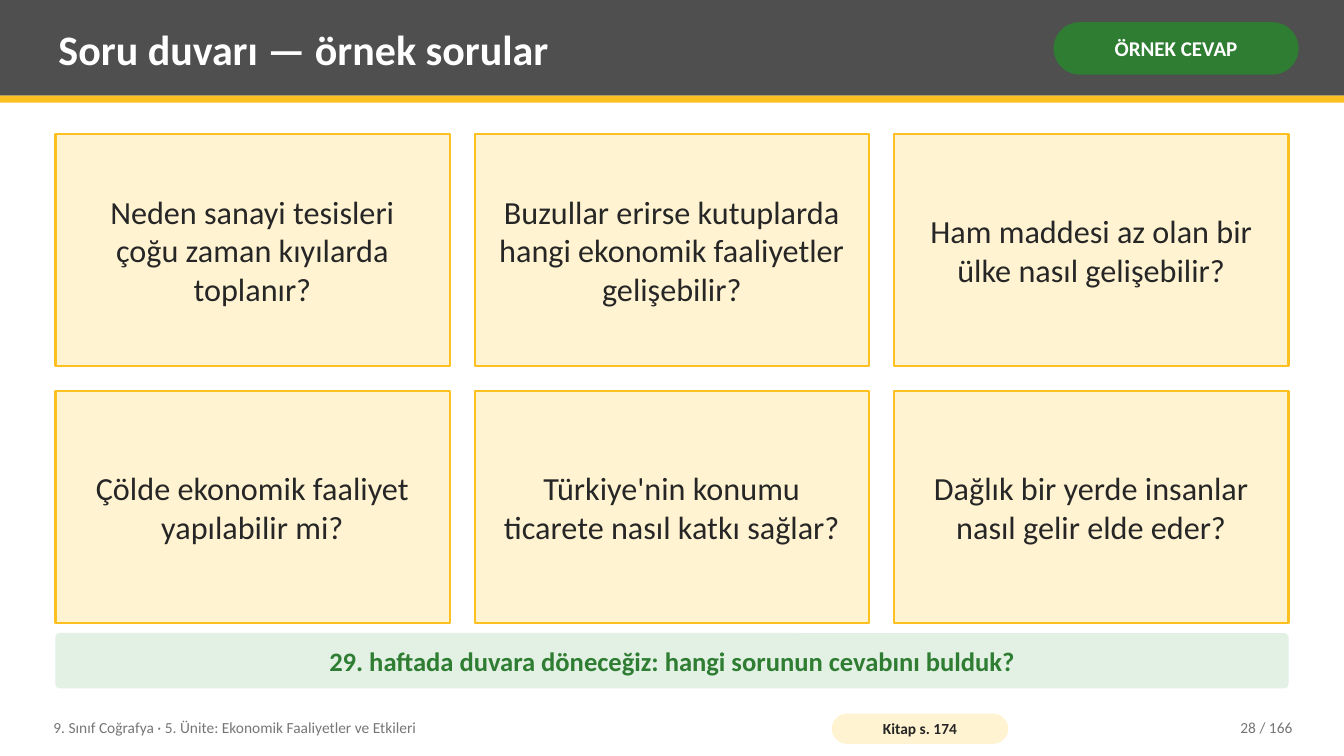
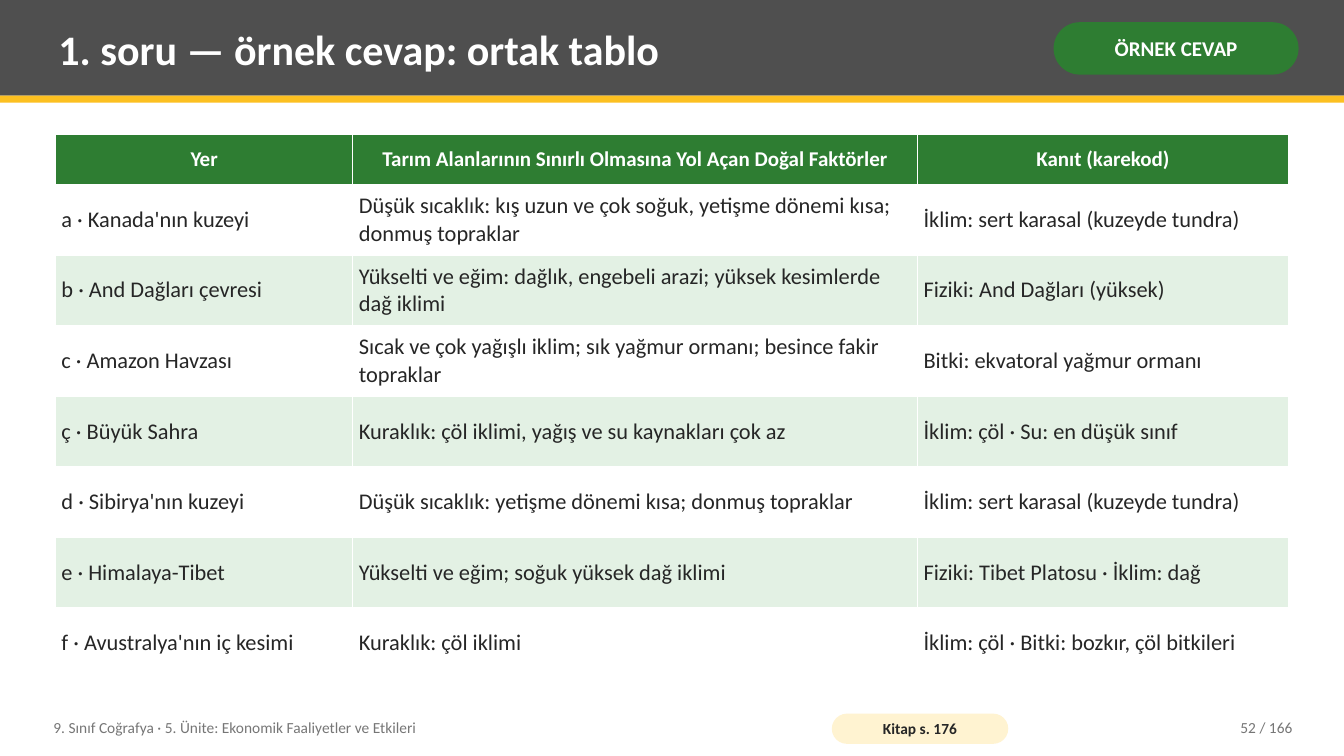
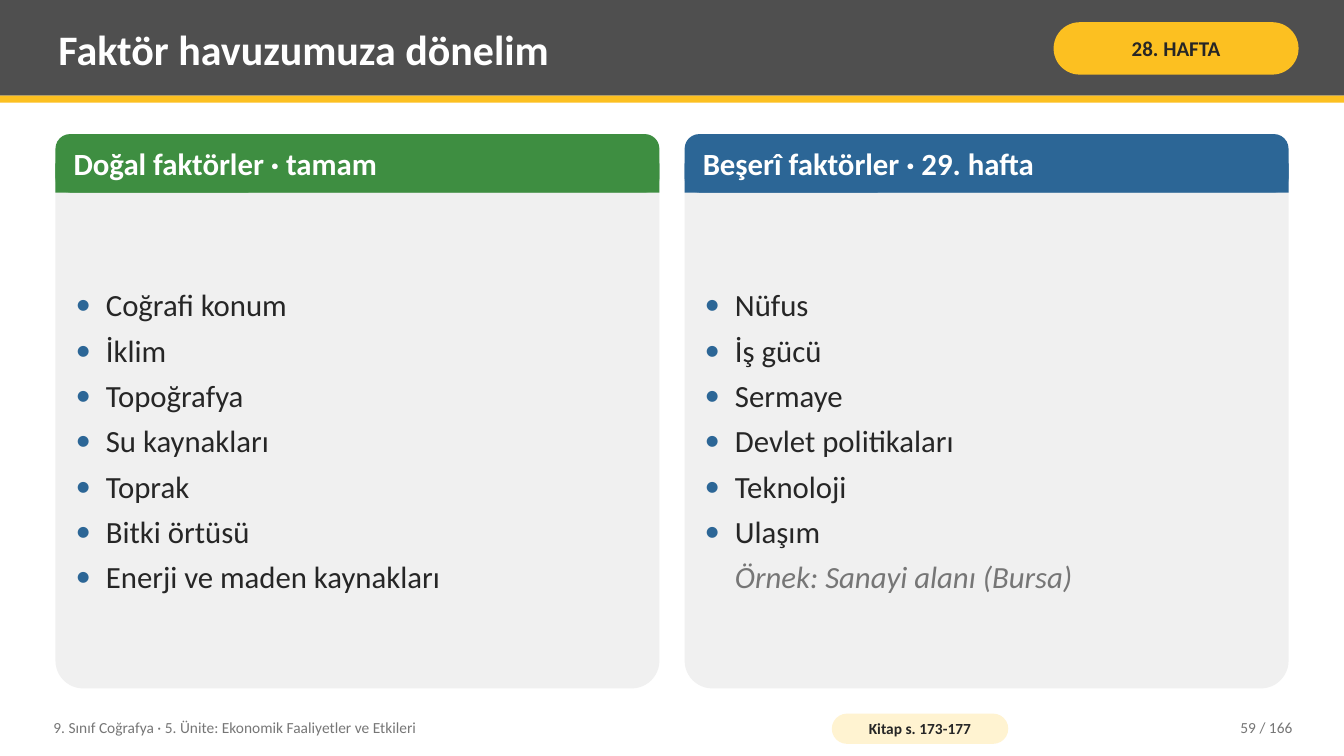
import dataclasses

import lxml.etree
import pptx
import pptx.dml.color
import pptx.enum.shapes
import pptx.enum.text
import pptx.oxml.ns
import pptx.util

Inches = pptx.util.Inches
Shape = pptx.enum.shapes.MSO_SHAPE
Align = pptx.enum.text.PP_ALIGN


@dataclasses.dataclass(frozen=True)
class Theme:
    font: str = "Calibri"
    white: str = "FFFFFF"
    ink: str = "262626"
    muted: str = "767676"
    band: str = "4F4F4F"
    gold: str = "FCC021"
    cream: str = "FFF3D1"
    green: str = "2E7D32"
    leaf: str = "3E8E41"
    mint: str = "E3F1E4"
    blue: str = "2C6696"
    panel: str = "F0F0F0"
    title_size: int = 30
    card_size: int = 23
    panel_size: int = 22
    note_size: int = 19
    cell_size: int = 16
    label_size: int = 15
    footer_size: int = 11


THEME = Theme()
PAGE_WIDTH, PAGE_HEIGHT = 13.33, 7.5
LEFT, TOP, WIDTH, BOTTOM, GAP = 0.55, 1.33, 12.23, 6.83, 0.25
TEXT_INSETS = (0.08, 0.04)
UNIT = "9. Sınıf Coğrafya · 5. Ünite: Ekonomik Faaliyetler ve Etkileri"
PAGE_COUNT = 166

QUESTIONS = [
    "Neden sanayi tesisleri çoğu zaman kıyılarda toplanır?",
    "Buzullar erirse kutuplarda hangi ekonomik faaliyetler gelişebilir?",
    "Ham maddesi az olan bir ülke nasıl gelişebilir?",
    "Çölde ekonomik faaliyet yapılabilir mi?",
    "Türkiye'nin konumu ticarete nasıl katkı sağlar?",
    "Dağlık bir yerde insanlar nasıl gelir elde eder?",
]
PLACES = [
    ("Yer", "Tarım Alanlarının Sınırlı Olmasına Yol Açan Doğal Faktörler", "Kanıt (karekod)"),
    ("a · Kanada'nın kuzeyi",
     "Düşük sıcaklık: kış uzun ve çok soğuk, yetişme dönemi kısa; donmuş topraklar",
     "İklim: sert karasal (kuzeyde tundra)"),
    ("b · And Dağları çevresi",
     "Yükselti ve eğim: dağlık, engebeli arazi; yüksek kesimlerde dağ iklimi",
     "Fiziki: And Dağları (yüksek)"),
    ("c · Amazon Havzası",
     "Sıcak ve çok yağışlı iklim; sık yağmur ormanı; besince fakir topraklar",
     "Bitki: ekvatoral yağmur ormanı"),
    ("ç · Büyük Sahra", "Kuraklık: çöl iklimi, yağış ve su kaynakları çok az",
     "İklim: çöl · Su: en düşük sınıf"),
    ("d · Sibirya'nın kuzeyi", "Düşük sıcaklık: yetişme dönemi kısa; donmuş topraklar",
     "İklim: sert karasal (kuzeyde tundra)"),
    ("e · Himalaya-Tibet", "Yükselti ve eğim; soğuk yüksek dağ iklimi",
     "Fiziki: Tibet Platosu · İklim: dağ"),
    ("f · Avustralya'nın iç kesimi", "Kuraklık: çöl iklimi",
     "İklim: çöl · Bitki: bozkır, çöl bitkileri"),
]
NATURAL_FACTORS = ["Coğrafi konum", "İklim", "Topoğrafya", "Su kaynakları", "Toprak",
                   "Bitki örtüsü", "Enerji ve maden kaynakları"]
HUMAN_FACTORS = ["Nüfus", "İş gücü", "Sermaye", "Devlet politikaları", "Teknoloji", "Ulaşım"]


def rgb(color):
    return pptx.dml.color.RGBColor.from_string(color)


def style_paragraph(para, size, color, bold=False, italic=False, align=Align.LEFT):
    para.alignment = align
    font = para.font
    font.name = THEME.font
    font.size = pptx.util.Pt(size)
    font.color.rgb = rgb(color)
    font.bold = bold
    font.italic = italic


def set_frame(frame, insets):
    frame.word_wrap = True
    frame.auto_size = pptx.enum.text.MSO_AUTO_SIZE.NONE
    frame.vertical_anchor = pptx.enum.text.MSO_ANCHOR.MIDDLE
    frame.margin_left = frame.margin_right = Inches(insets[0])
    frame.margin_top = frame.margin_bottom = Inches(insets[1])


def write_text(box, text, size, color, insets=TEXT_INSETS, **style):
    set_frame(box.text_frame, insets)
    para = box.text_frame.paragraphs[0]
    para.text = text
    style_paragraph(para, size, color, **style)


def add_block(page, kind, place, fill, line=None, corner=None):
    block = page.shapes.add_shape(kind, *map(Inches, place))
    block.shadow.inherit = False
    block.fill.solid()
    block.fill.fore_color.rgb = rgb(fill)
    if line:
        block.line.color.rgb = rgb(line)
        block.line.width = pptx.util.Pt(1.5)
    else:
        block.line.fill.background()
    if corner is not None:
        block.adjustments[0] = corner
    return block


def add_text(page, place, text, size, color, **style):
    box = page.shapes.add_textbox(*map(Inches, place))
    write_text(box, text, size, color, **style)


def add_pill(page, place, text, size, fill, color, insets):
    pill = add_block(page, Shape.ROUNDED_RECTANGLE, place, fill, corner=0.5)
    write_text(pill, text, size, color, insets, bold=True, align=Align.CENTER)


def add_page(deck, title, label, label_fill, label_color, book_pages, number):
    page = deck.slides.add_slide(deck.slide_layouts[5])
    add_block(page, Shape.RECTANGLE, (0, 0, PAGE_WIDTH, 0.95), THEME.band)
    add_block(page, Shape.RECTANGLE, (0, 0.95, PAGE_WIDTH, 0.07), THEME.gold)
    heading = page.shapes.title
    page.shapes.element.append(heading.element)
    heading.left, heading.top, heading.width, heading.height = map(Inches, (0.5, 0.07, 9.75, 0.82))
    write_text(heading, title, THEME.title_size, THEME.white, bold=True)
    add_pill(page, (10.45, 0.22, 2.43, 0.52), label, THEME.label_size,
             label_fill, label_color, (0.05, 0.02))
    add_text(page, (0.45, 7.04, 7.6, 0.36), UNIT, THEME.footer_size, THEME.muted)
    add_pill(page, (8.25, 7.08, 1.75, 0.3), f"Kitap s. {book_pages}", THEME.footer_size,
             THEME.cream, THEME.ink, (0.04, 0))
    add_text(page, (11.3, 7.04, 1.6, 0.36), f"{number} / {PAGE_COUNT}",
             THEME.footer_size, THEME.muted, align=Align.RIGHT)
    return page


def add_question_wall(page, questions, columns=3, card_height=2.3):
    card_width = (WIDTH - GAP * (columns - 1)) / columns
    for index, question in enumerate(questions):
        row, column = divmod(index, columns)
        place = (LEFT + column * (card_width + GAP), TOP + row * (card_height + GAP),
                 card_width, card_height)
        card = add_block(page, Shape.RECTANGLE, place, THEME.cream, line=THEME.gold)
        write_text(card, question, THEME.card_size, THEME.ink, (0.2, 0.08), align=Align.CENTER)


def add_note(page, text, height=0.55):
    note = add_block(page, Shape.ROUNDED_RECTANGLE, (LEFT, BOTTOM - height, WIDTH, height),
                     THEME.mint, corner=0.08)
    write_text(note, text, THEME.note_size, THEME.green, (0.14, 0.08),
               bold=True, align=Align.CENTER)


def add_cell_borders(cell):
    properties = cell._tc.get_or_add_tcPr()
    for side in ("a:lnL", "a:lnR", "a:lnT", "a:lnB"):
        border = lxml.etree.SubElement(properties, pptx.oxml.ns.qn(side),
                                       w=str(pptx.util.Pt(0.96)))
        fill = lxml.etree.SubElement(border, pptx.oxml.ns.qn("a:solidFill"))
        lxml.etree.SubElement(fill, pptx.oxml.ns.qn("a:srgbClr"), val=THEME.white)


def fill_cell(cell, text, row):
    add_cell_borders(cell)
    cell.fill.solid()
    cell.margin_left = cell.margin_right = Inches(0.06)
    cell.margin_top = cell.margin_bottom = Inches(0.05)
    cell.vertical_anchor = pptx.enum.text.MSO_ANCHOR.MIDDLE
    cell.text = text
    para = cell.text_frame.paragraphs[0]
    if row == 0:
        cell.fill.fore_color.rgb = rgb(THEME.green)
        style_paragraph(para, THEME.label_size, THEME.white, bold=True, align=Align.CENTER)
    else:
        cell.fill.fore_color.rgb = rgb(THEME.white if row % 2 else THEME.mint)
        style_paragraph(para, THEME.cell_size, THEME.ink)


def add_place_table(page, rows, widths=(2.95, 5.6, 3.68), header_height=0.5, row_height=0.7):
    height = header_height + row_height * (len(rows) - 1)
    table = page.shapes.add_table(len(rows), len(widths),
                                  *map(Inches, (LEFT, TOP, WIDTH, height))).table
    for column, width in zip(table.columns, widths):
        column.width = Inches(width)
    for index, texts in enumerate(rows):
        table.rows[index].height = Inches(row_height if index else header_height)
        for column, text in enumerate(texts):
            fill_cell(table.cell(index, column), text, index)


def set_indent(para, bulleted):
    properties = para._p.get_or_add_pPr()
    properties.set("marL", str(Inches(0.3)))
    properties.set("indent", str(Inches(-0.3) if bulleted else 0))
    if bulleted:
        color = lxml.etree.SubElement(properties, pptx.oxml.ns.qn("a:buClr"))
        lxml.etree.SubElement(color, pptx.oxml.ns.qn("a:srgbClr"), val=THEME.blue)
        lxml.etree.SubElement(properties, pptx.oxml.ns.qn("a:buFont"), typeface=THEME.font)
        lxml.etree.SubElement(properties, pptx.oxml.ns.qn("a:buChar"), char="•")
    else:
        lxml.etree.SubElement(properties, pptx.oxml.ns.qn("a:buNone"))


def add_factor_list(page, place, factors, example):
    frame = page.shapes.add_textbox(*map(Inches, place)).text_frame
    set_frame(frame, TEXT_INSETS)
    lines = factors + ([example] if example else [])
    for index, text in enumerate(lines):
        para = frame.add_paragraph() if index else frame.paragraphs[0]
        para.text = text
        if index < len(lines) - 1:
            para.space_after = pptx.util.Pt(6)
        bulleted = index < len(factors)
        set_indent(para, bulleted)
        style_paragraph(para, THEME.panel_size, THEME.ink if bulleted else THEME.muted,
                        italic=not bulleted)


def add_factor_panel(page, column, heading, color, factors, example=None):
    width = (WIDTH - GAP) / 2
    left = LEFT + column * (width + GAP)
    height, head = BOTTOM - TOP, 0.58
    add_block(page, Shape.ROUNDED_RECTANGLE, (left, TOP, width, height), THEME.panel, corner=0.05)
    add_block(page, Shape.ROUNDED_RECTANGLE, (left, TOP, width, head), color, corner=0.25)
    add_block(page, Shape.RECTANGLE, (left, TOP + head / 2, width, head / 2), color)
    add_text(page, (left + 0.1, TOP, width - 0.2, head), heading,
             THEME.panel_size, THEME.white, bold=True)
    add_factor_list(page, (left + 0.12, TOP + head + 0.08, width - 0.24, height - head - 0.16),
                    factors, example)


def main():
    deck = pptx.Presentation()
    deck.slide_width, deck.slide_height = Inches(PAGE_WIDTH), Inches(PAGE_HEIGHT)
    answer = ("ÖRNEK CEVAP", THEME.green, THEME.white)
    week = ("28. HAFTA", THEME.gold, THEME.ink)

    page = add_page(deck, "Soru duvarı — örnek sorular", *answer, "174", 28)
    add_question_wall(page, QUESTIONS)
    add_note(page, "29. haftada duvara döneceğiz: hangi sorunun cevabını bulduk?")

    page = add_page(deck, "1. soru — örnek cevap: ortak tablo", *answer, "176", 52)
    add_place_table(page, PLACES)

    page = add_page(deck, "Faktör havuzumuza dönelim", *week, "173-177", 59)
    add_factor_panel(page, 0, "Doğal faktörler · tamam", THEME.leaf, NATURAL_FACTORS)
    add_factor_panel(page, 1, "Beşerî faktörler · 29. hafta", THEME.blue, HUMAN_FACTORS,
                     "Örnek: Sanayi alanı (Bursa)")

    deck.save("out.pptx")


if __name__ == "__main__":
    main()
